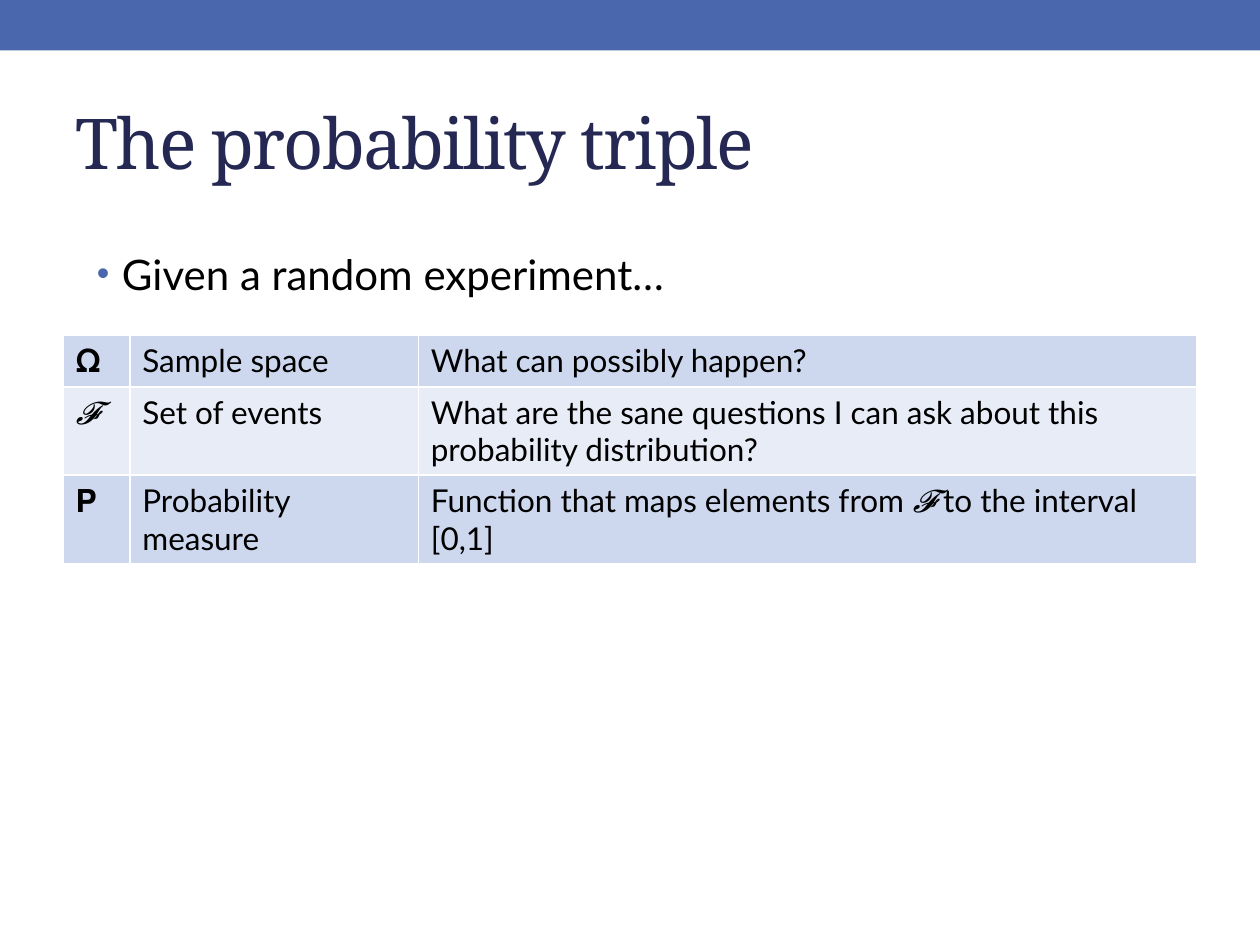
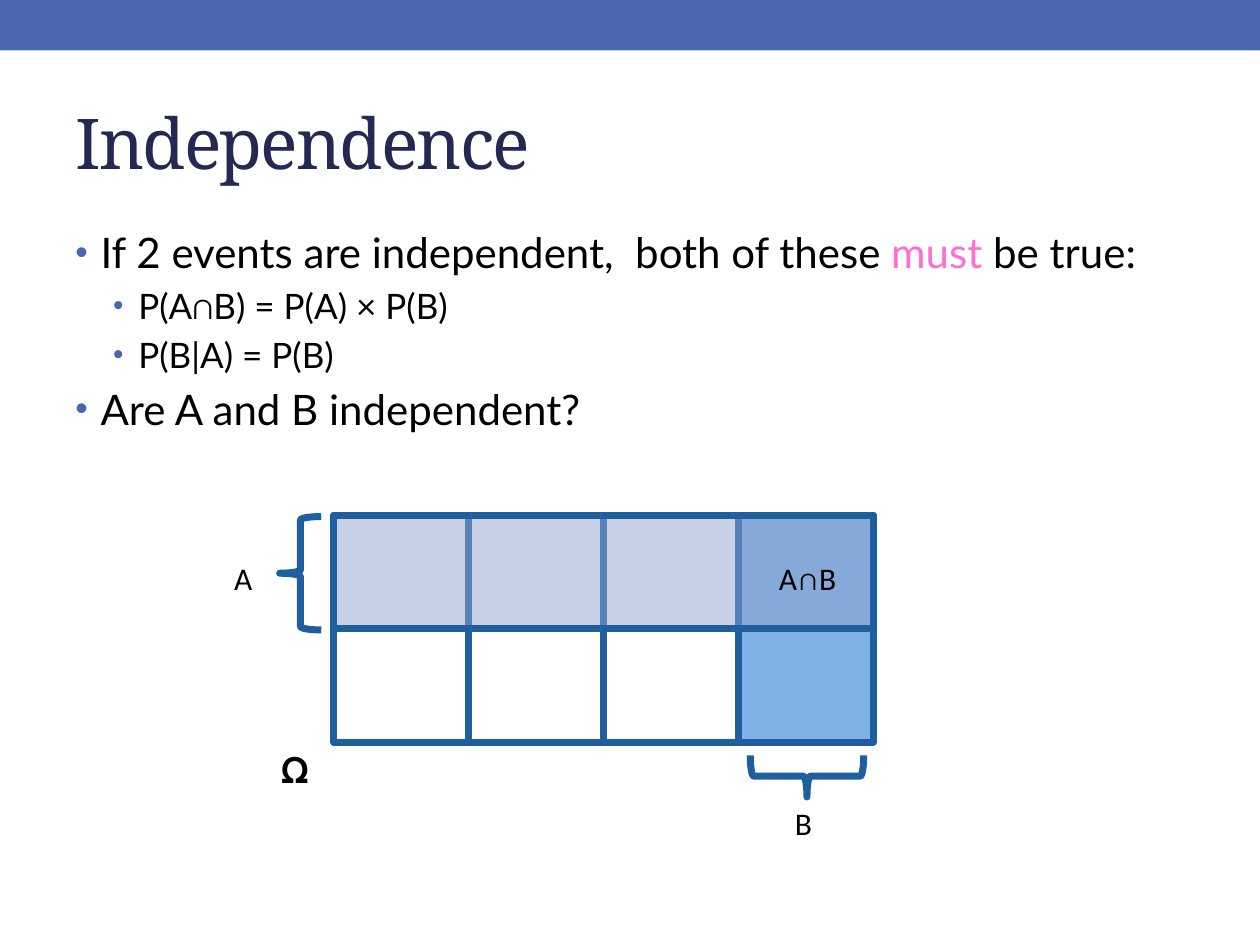
from lxml import etree
from pptx import Presentation
from pptx import util as u
from pptx.dml import color as dml
from pptx.enum import shapes, text
from pptx.oxml import ns

PX = 9144  # EMU per px, 100 px to the inch

# Shared colours and text formats
ACCENT, OUTLINE = "4A66AC", "1F5FA0"
DARK_ROW, LIGHT_ROW = "CDD8EF", "E8ECF7"
TITLE = dict(name="Noto Serif", size=40, color="242852")
BODY = dict(name="Lato", size=24, color="000000")
SUB = {**BODY, "size": 20}
CELL = {**BODY, "size": 18, "bold": False}
SCRIPT = {**CELL, "italic": True}
LABEL = dict(name="Calibri", size=18, color="000000")


def px(*lengths):
    return [u.Emu(length * PX) for length in lengths]


def rgb(value):
    return dml.RGBColor.from_string(value)


def add_xml(parent, tag, **attributes):
    return etree.SubElement(parent, ns.qn(tag), attributes)


class Deck:
    def __init__(self):
        self.presentation = Presentation()
        size = px(1000, 750)
        self.presentation.slide_width, self.presentation.slide_height = size
        self.slide = None

    def new_slide(self, title):
        layout = self.presentation.slide_layouts[5]
        self.slide = self.presentation.slides.add_slide(layout)
        self.shape(shapes.MSO_SHAPE.RECTANGLE, (0, 0, 1000, 40), fill=ACCENT)
        shape = self.slide.shapes.title
        shape.left, shape.top, shape.width, shape.height = px(50, 58, 900, 108)
        frame = shape.text_frame
        frame.word_wrap = True
        frame.auto_size = text.MSO_AUTO_SIZE.NONE
        frame.vertical_anchor = text.MSO_ANCHOR.MIDDLE
        paragraph = frame.paragraphs[0]
        paragraph.alignment = text.PP_ALIGN.LEFT
        run = self.run(paragraph, title, TITLE)
        run.font._element.set("spc", "-100")

    def run(self, paragraph, words, style):
        run = paragraph.add_run()
        run.text = words
        for key, value in style.items():
            if key == "color":
                run.font.color.rgb = rgb(value)
            else:
                setattr(run.font, key, u.Pt(value) if key == "size" else value)
        return run

    def shape(self, kind, box, fill=None, line=None, alpha=None, rotation=0):
        shape = self.slide.shapes.add_shape(kind, *px(*box))
        shape.shadow.inherit = False
        shape.rotation = rotation
        if fill:
            shape.fill.solid()
            shape.fill.fore_color.rgb = rgb(fill)
        else:
            shape.fill.background()
        if alpha:
            paint = shape._element.spPr.find(".//" + ns.qn("a:srgbClr"))
            add_xml(paint, "a:alpha", val=str(alpha * 1000))
        if line:
            shape.line.color.rgb = rgb(line)
            shape.line.width = u.Pt(4)
        else:
            shape.line.fill.background()

    def text_box(self, box, wrap=True):
        frame = self.slide.shapes.add_textbox(*px(*box)).text_frame
        frame.word_wrap = wrap
        return frame

    def label(self, words, box, style=LABEL, align=text.PP_ALIGN.LEFT, wrap=True):
        paragraph = self.text_box(box, wrap).paragraphs[0]
        paragraph.alignment = align
        self.run(paragraph, words, style)

    def bullets(self, box, items):
        """Each item is (level, runs); a run is (words, style)."""
        frame = self.text_box(box)
        for index, (level, runs) in enumerate(items):
            paragraph = frame.add_paragraph() if index else frame.paragraphs[0]
            paragraph.level = level
            if index:
                paragraph.space_before = u.Pt(runs[0][1]["size"] * 0.2)
            margin, hanging = px(50 if level else 20, -20)
            properties = paragraph._p.get_or_add_pPr()
            properties.set("marL", str(margin))
            properties.set("indent", str(hanging))
            add_xml(add_xml(properties, "a:buClr"), "a:srgbClr", val=ACCENT)
            add_xml(properties, "a:buSzPct", val="85000")
            add_xml(properties, "a:buFont", typeface="Arial")
            add_xml(properties, "a:buChar", char="•")
            for words, style in runs:
                self.run(paragraph, words, style)

    def table(self, left, top, widths, heights, rows):
        """Each cell is a list of runs."""
        box = px(left, top, sum(widths), sum(heights))
        table = self.slide.shapes.add_table(len(rows), len(widths), *box).table
        table.first_row = table.horz_banding = False
        for column, width in zip(table.columns, px(*widths)):
            column.width = width
        for index, (row, height) in enumerate(zip(table.rows, px(*heights))):
            row.height = height
            for cell, runs in zip(row.cells, rows[index]):
                for words, style in runs:
                    self.run(cell.text_frame.paragraphs[0], words, style)
                self.borders(cell)
                cell.fill.solid()
                cell.fill.fore_color.rgb = rgb(LIGHT_ROW if index % 2 else DARK_ROW)

    def borders(self, cell):
        properties = cell._tc.get_or_add_tcPr()
        for side in "LRTB":
            line = add_xml(properties, f"a:ln{side}", w=str(u.Pt(1)))
            add_xml(add_xml(line, "a:solidFill"), "a:srgbClr", val="FFFFFF")


def probability_triple(deck):
    deck.new_slide("The probability triple")
    deck.table(50, 266, [53, 229, 618], [41, 70, 70], [
        [[("𝛀", {**CELL, "bold": True})],
         [("Sample space", CELL)],
         [("What can possibly happen?", CELL)]],
        [[("𝓕", SCRIPT)],
         [("Set of events", CELL)],
         [("What are the sane questions I can ask about this "
           "probability distribution?", CELL)]],
        [[("𝐏", CELL)],
         [("Probability measure", CELL)],
         [("Function that maps elements from ", CELL), ("𝓕 ", SCRIPT),
          ("to the interval [0,1]", CELL)]],
    ])
    deck.bullets((67, 192, 900, 533), [(0, [("Given a random experiment…", BODY)])])


def independence(deck):
    deck.new_slide("Independence")
    deck.bullets((50, 175, 900, 533), [
        (0, [("If 2 events are independent,  both of these ", BODY),
             ("must", {**BODY, "color": "FF6FCF"}), (" be true:", BODY)]),
        (1, [("P(A∩B) = P(A) × P(B)", SUB)]),
        (1, [("P(B|A) = P(B)", SUB)]),
        (0, [("Are A and B independent?", BODY)]),
    ])

    # Sample space: four columns, the last one is B, the upper half is A
    left, top, cell_width, cell_height = 265, 409, 107, 90
    rectangle, brace = shapes.MSO_SHAPE.RECTANGLE, shapes.MSO_SHAPE.LEFT_BRACE
    for column in range(4):
        box = (left + column * cell_width, top, cell_width, 2 * cell_height)
        deck.shape(rectangle, box, "7EB2E6" if column == 3 else None, OUTLINE)
    deck.shape(rectangle, (left, top, 4 * cell_width, cell_height),
               "90A2CF", OUTLINE, alpha=50)

    # Braces and labels
    deck.shape(brace, (222, 410, 33, 90), line=OUTLINE)
    deck.shape(brace, (624, 571, 33, 90), line=OUTLINE, rotation=270)
    deck.label("A", (176, 439, 38, 40))
    deck.label("B", (621, 633, 38, 40))
    deck.label("A∩B", (596, 439, 90, 40), align=text.PP_ALIGN.CENTER)
    deck.label("𝛀", (213, 589, 42, 44),
               dict(name="Roboto", size=20, color="000000", bold=True), wrap=False)


def main():
    deck = Deck()
    probability_triple(deck)
    independence(deck)
    deck.presentation.save("out.pptx")


if __name__ == "__main__":
    main()
